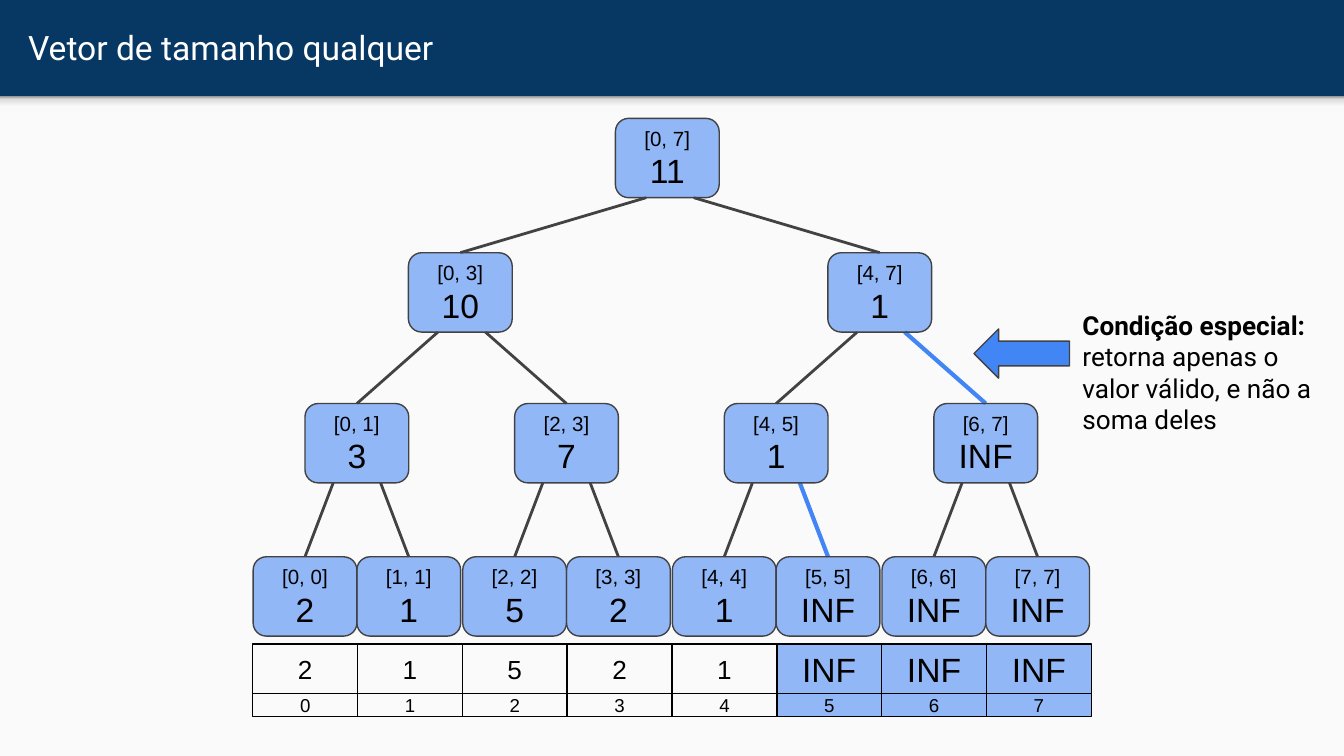
from dataclasses import dataclass

from lxml import etree
from pptx import Presentation
from pptx import util as u
from pptx.dml import color
from pptx.enum import shapes, text
from pptx.oxml import ns


@dataclass(frozen=True)
class Theme:
    navy: str = "073763"
    paper: str = "FAFAFA"
    white: str = "FFFFFF"
    ink: str = "000000"
    gray: str = "424242"
    blue: str = "4285F4"
    shade: tuple = ((0, "F9F9F9"), (36, "F9F9F9"), (80, "DEDEDE"), (100, "999999"))
    alpha: int = 57
    head: int = 18
    big: int = 18
    mid: int = 14
    range: int = 11
    small: int = 10
    sans: str = "Arial"
    title: str = "Roboto"


def rgb(hue):
    return color.RGBColor.from_string(hue)


class Deck:
    def __init__(self, theme, wide, high):
        self.theme = theme
        self.file = Presentation()
        self.file.slide_width, self.file.slide_height = u.Pt(wide), u.Pt(high)
        self.slide = self.file.slides.add_slide(self.file.slide_layouts[6])
        back = self.slide.background.fill
        back.solid()
        back.fore_color.rgb = rgb(theme.navy)

    def words(self, item, lines, font, hue, center=False, middle=True):
        frame = item.text_frame
        frame.word_wrap = True
        frame.margin_left = frame.margin_right = u.Pt(7.2)
        frame.margin_top = frame.margin_bottom = u.Pt(7.2)
        frame.vertical_anchor = text.MSO_ANCHOR.MIDDLE if middle else text.MSO_ANCHOR.TOP
        for i, (word, size, bold) in enumerate(lines):
            para = frame.add_paragraph() if i else frame.paragraphs[0]
            para.alignment = text.PP_ALIGN.CENTER if center else text.PP_ALIGN.LEFT
            run = para.add_run()
            run.text = word
            run.font.name, run.font.size, run.font.bold = font, u.Pt(size), bold
            run.font.color.rgb = rgb(hue)

    def shape(self, kind, box, fill=None, line=None, clear=False):
        item = self.slide.shapes.add_shape(kind, *map(u.Pt, box))
        item.shadow.inherit = False
        if fill:
            item.fill.solid()
            item.fill.fore_color.rgb = rgb(fill)
        else:
            item.fill.background()
        if clear:
            tint = item._element.spPr.find(ns.qn("a:solidFill")).find(ns.qn("a:srgbClr"))
            etree.SubElement(tint, ns.qn("a:alpha"), val=str(self.theme.alpha * 1000))
        if line:
            item.line.color.rgb = rgb(line)
            item.line.width = u.Pt(0.75)
        else:
            item.line.fill.background()
        return item

    def fade(self, box, stops):
        item = self.shape(shapes.MSO_SHAPE.RECTANGLE, box)
        item.fill.gradient()
        item.fill.gradient_angle = 90
        group = item._element.spPr.find(ns.qn("a:gradFill")).find(ns.qn("a:gsLst"))
        for old in list(group):
            group.remove(old)
        for place, hue in stops:
            stop = etree.SubElement(group, ns.qn("a:gs"), pos=str(place * 1000))
            etree.SubElement(stop, ns.qn("a:srgbClr"), val=hue)

    def label(self, box, lines, hue, middle=True):
        item = self.slide.shapes.add_textbox(*map(u.Pt, box))
        self.words(item, lines, self.theme.title, hue, middle=middle)

    def cell(self, box, word, size, void):
        fill = self.theme.blue if void else None
        item = self.shape(shapes.MSO_SHAPE.RECTANGLE, box, fill, self.theme.ink, void)
        self.words(item, [(word, size, False)], self.theme.sans, self.theme.ink, True)

    def edge(self, start, end, marked):
        ends = map(u.Pt, (*start, *end))
        item = self.slide.shapes.add_connector(shapes.MSO_CONNECTOR.STRAIGHT, *ends)
        item.line.color.rgb = rgb(self.theme.blue if marked else self.theme.gray)
        item.line.width = u.Pt(2.25 if marked else 1.5)
        etree.SubElement(item._element.spPr, ns.qn("a:effectLst"))

    def node(self, box, span, word):
        t = self.theme
        item = self.shape(shapes.MSO_SHAPE.ROUNDED_RECTANGLE, box, t.blue, t.gray, True)
        lines = [(span, t.range, False), (word, t.big, False)]
        self.words(item, lines, t.sans, t.ink, True)


WIDE, HIGH = 720, 405
NODE_W, NODE_H = 55.6, 42.5
CELL_W, CELL_X, CELL_Y = 56.15, 135.4, 345
VALUE_H, INDEX_H = 26.6, 12.2
FORK = 12.7
PAIRS = [191.2 + 112.3 * i for i in range(4)]
LEAVES = [x + side * NODE_W / 2 for x in PAIRS for side in (-1, 1)]
TREE = [
    (63.4, [357.5], ["11"]),
    (135.4, [246.6, 471.3], ["10", "1"]),
    (216.2, PAIRS, ["3", "7", "1", "INF"]),
    (298.3, LEAVES, ["2", "1", "5", "2", "1", "INF", "INF", "INF"]),
]
MARKED = {(2, 3), (3, 5)}


def main():
    t = Theme()
    deck = Deck(t, WIDE, HIGH)
    deck.shape(shapes.MSO_SHAPE.RECTANGLE, (0, 51.6, WIDE, HIGH - 51.6), t.paper)
    deck.fade((0, 51.6, WIDE, 8.6), t.shade)
    deck.label((8, 1.4, 695, 47.5), [("Vetor de tamanho qualquer", t.head, False)], t.white)

    array = TREE[-1][2]
    for i, word in enumerate(array):
        void = word == "INF"
        x = CELL_X + i * CELL_W
        deck.cell((x, CELL_Y, CELL_W, VALUE_H), word, t.big if void else t.mid, void)
        deck.cell((x, CELL_Y + VALUE_H, CELL_W, INDEX_H), str(i), t.small, void)

    for level in range(1, len(TREE)):
        base = TREE[level - 1][0] + NODE_H
        top, mids, _ = TREE[level]
        for i, x in enumerate(mids):
            first = i - i % 2
            fork = sum(mids[first:first + 2]) / 2 + (FORK if i % 2 else -FORK)
            deck.edge((fork, base), (x, top), (level, i) in MARKED)

    for top, mids, words in TREE:
        size = len(array) // len(mids)
        for i, (x, word) in enumerate(zip(mids, words)):
            span = f"[{i * size}, {(i + 1) * size - 1}]"
            deck.node((x - NODE_W / 2, top, NODE_W, NODE_H), span, word)

    deck.shape(shapes.MSO_SHAPE.LEFT_ARROW, (521.8, 176.2, 51.2, 26.4), t.blue, t.gray)
    note = [
        ("Condição especial:", t.mid, True),
        ("retorna apenas o valor válido, e não a soma deles", t.mid, False),
    ]
    deck.label((572.8, 158.4, 139, 82), note, t.ink, middle=False)
    deck.file.save("out.pptx")


if __name__ == "__main__":
    main()
